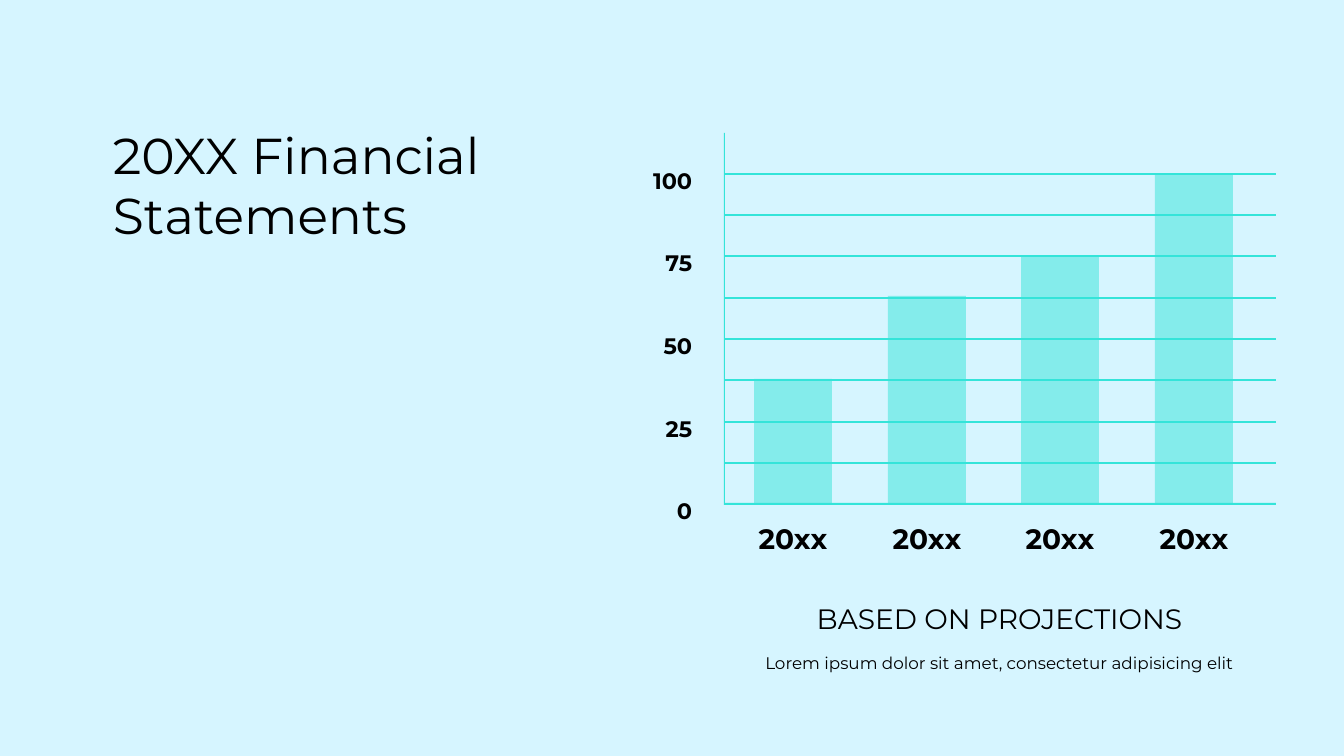
from lxml.etree import SubElement
from pptx import Presentation
from pptx.dml.color import RGBColor
from pptx.enum.shapes import MSO_CONNECTOR, MSO_SHAPE
from pptx.enum.text import MSO_AUTO_SIZE, PP_ALIGN
from pptx.oxml.ns import qn
from pptx.util import Pt

PX = 914400 / 100.8
COLORS = {"sky": "D6F5FF", "teal": "34E4D9", "black": "000000"}
FONT = "Montserrat"

AXIS_LEFT, AXIS_RIGHT, AXIS_TOP, BASELINE = 724, 1276, 133, 504
CHART_HEIGHT = 330  # from 0 to 100
BAR_WIDTH, FIRST_BAR, LAST_BAR = 78, 754, 1155
PROJECTIONS = [("20xx", 38), ("20xx", 63), ("20xx", 75), ("20xx", 100)]


def px(length):
    return round(length * PX)


def color(name):
    return RGBColor.from_string(COLORS[name])


def level(value):
    """Vertical place of a value on the chart's scale."""
    return round(BASELINE - value * CHART_HEIGHT / 100)


def add_text(slide, text, left, top, width, height, size, bold=False,
             align=PP_ALIGN.LEFT):
    box = slide.shapes.add_textbox(px(left), px(top), px(width), px(height))
    frame = box.text_frame
    frame.word_wrap = True
    frame.auto_size = MSO_AUTO_SIZE.SHAPE_TO_FIT_TEXT
    paragraph = frame.paragraphs[0]
    paragraph.alignment = align
    run = paragraph.add_run()
    run.text = text
    run.font.name = FONT
    run.font.size = Pt(size)
    run.font.bold = bold
    run.font.color.rgb = color("black")


def paint(shape):
    shape.shadow.inherit = False
    shape.fill.solid()
    shape.fill.fore_color.rgb = color("teal")
    shape.line.fill.background()


def add_bar(slide, left, value):
    top = level(value)
    bar = slide.shapes.add_shape(MSO_SHAPE.RECTANGLE, px(left), px(top),
                                 px(BAR_WIDTH), px(BASELINE - 1 - top))
    paint(bar)
    fill = bar.fill._xPr.find(qn("a:solidFill"))
    SubElement(fill[0], qn("a:alpha"), val="50000")


def add_gridline(slide, value):
    y = px(level(value))
    gridline = slide.shapes.add_connector(
        MSO_CONNECTOR.STRAIGHT, px(AXIS_LEFT + 1), y, px(AXIS_RIGHT), y)
    gridline.line.color.rgb = color("teal")
    gridline.line.width = px(2)
    SubElement(gridline._element.spPr, qn("a:effectLst"))


def add_axes(slide):
    """Draw both axes as one thin L-shaped outline."""
    bottom = BASELINE + 1
    outline = slide.shapes.build_freeform(AXIS_RIGHT, bottom, scale=PX)
    outline.add_line_segments([
        (AXIS_LEFT, bottom), (AXIS_LEFT, AXIS_TOP),
        (AXIS_LEFT + 1, AXIS_TOP), (AXIS_LEFT + 1, BASELINE - 1),
        (AXIS_RIGHT, BASELINE - 1)])
    paint(outline.convert_to_shape())


def add_projection_chart(slide):
    bar_step = (LAST_BAR - FIRST_BAR) / (len(PROJECTIONS) - 1)
    for index, (year, value) in enumerate(PROJECTIONS):
        left = round(FIRST_BAR + index * bar_step)
        add_bar(slide, left, value)
        add_text(slide, year, left - 11, 517, 100, 44, size=20, bold=True,
                 align=PP_ALIGN.CENTER)
    for value in range(0, 101, 25):
        add_text(slide, str(value), 618, level(value) - 12, 84, 37, size=16,
                 bold=True, align=PP_ALIGN.RIGHT)
    for step in range(1, 9):
        add_gridline(slide, step * 12.5)
    add_axes(slide)


def main():
    deck = Presentation()
    deck.slide_width, deck.slide_height = px(1344), px(756)
    slide = deck.slides.add_slide(deck.slide_layouts[6])
    slide.background.fill.solid()
    slide.background.fill.fore_color.rgb = color("sky")

    add_text(slide, "20XX Financial Statements", 103, 119, 436, 132, size=36)
    add_projection_chart(slide)
    add_text(slide, "BASED ON PROJECTIONS", 723, 597, 553, 44, size=20,
             align=PP_ALIGN.CENTER)
    add_text(slide, "Lorem ipsum dolor sit amet, consectetur adipisicing elit",
             723, 648, 553, 30, size=12, align=PP_ALIGN.CENTER)
    deck.save("out.pptx")


if __name__ == "__main__":
    main()
